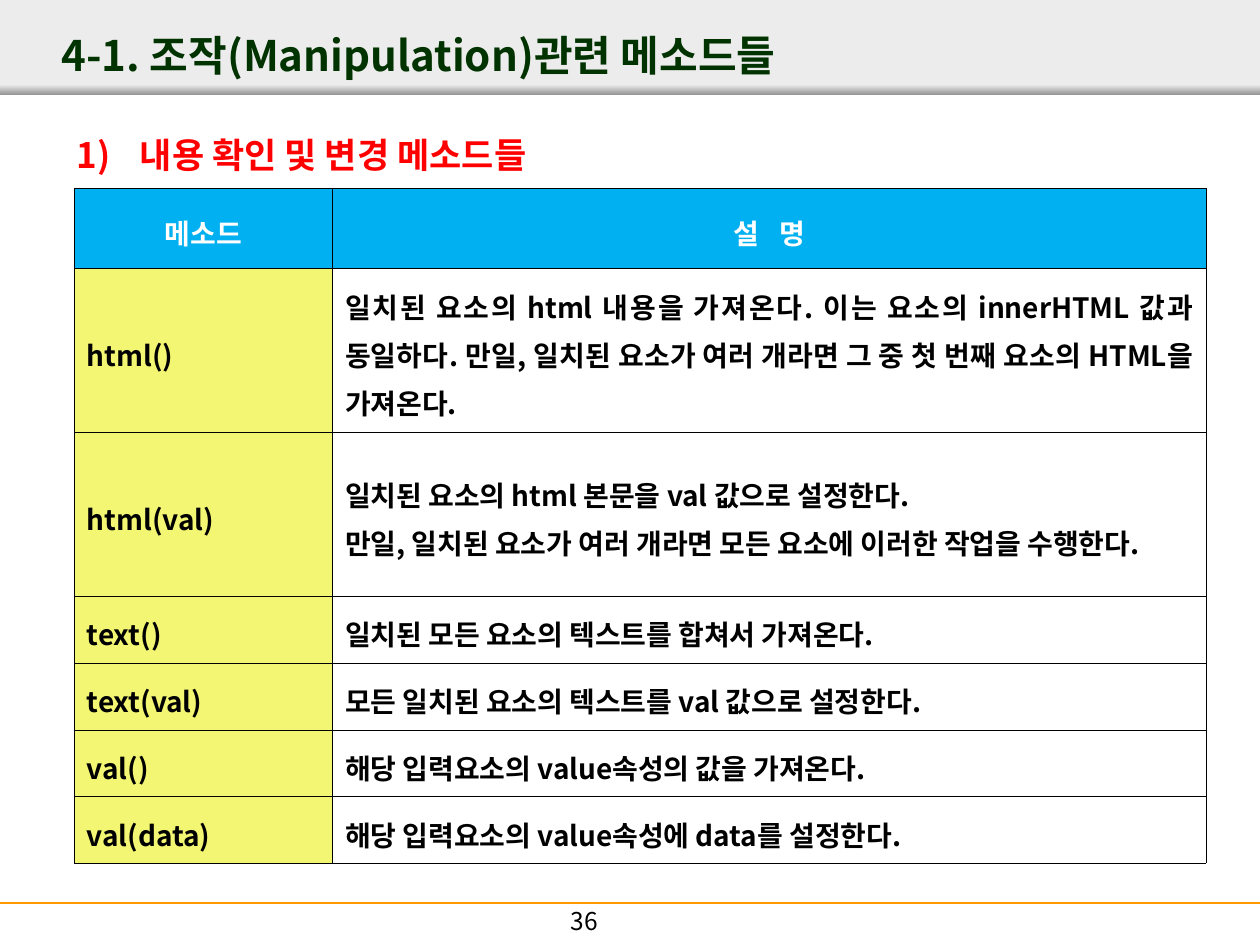
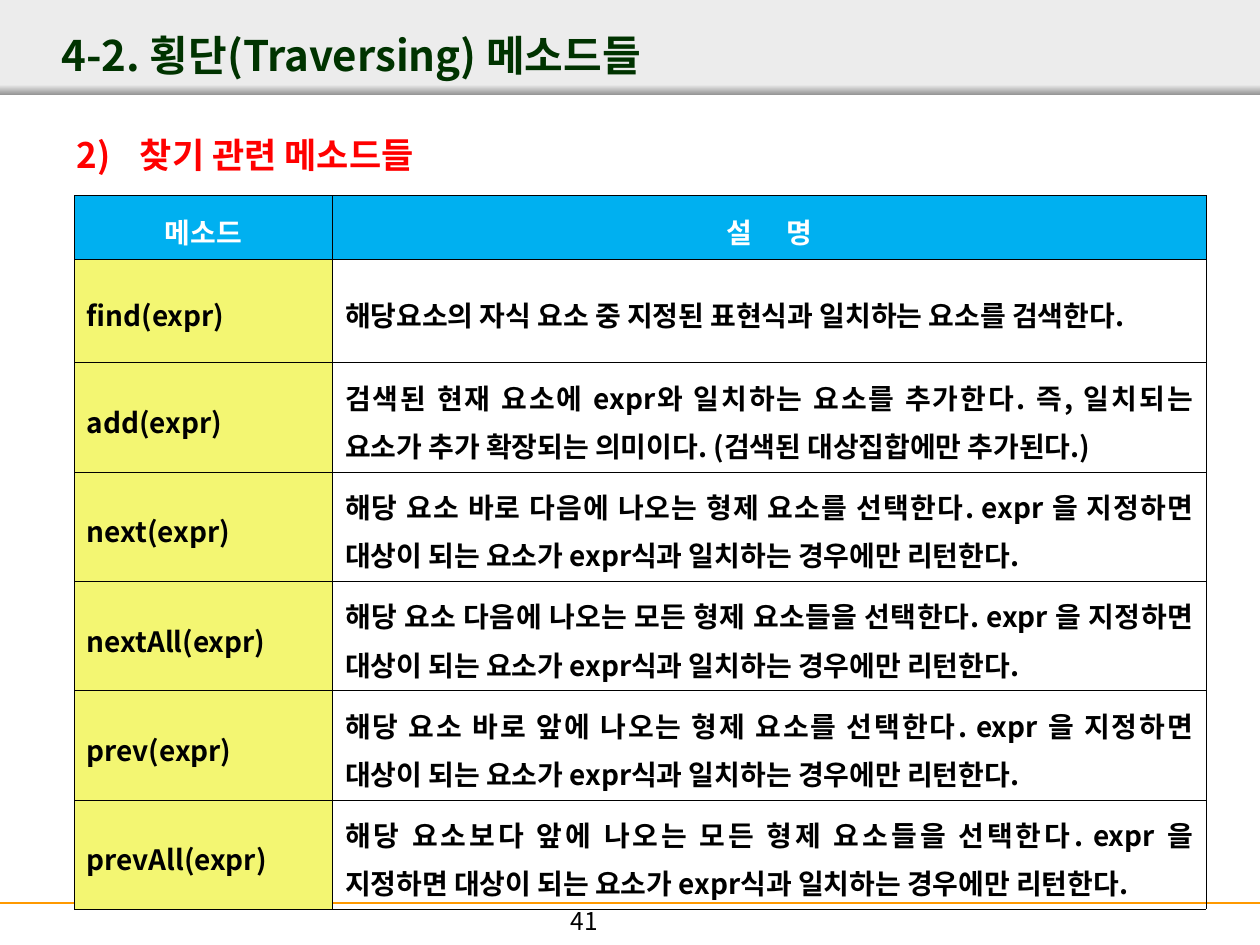
"""Build two slides of tables describing manipulation and traversing methods."""
from lxml import etree
from pptx import Presentation
from pptx.dml.color import RGBColor
from pptx.enum import shapes, text
from pptx.oxml import ns
from pptx.util import Pt

FONT = "Noto Sans CJK KR"
BLACK = RGBColor(0x00, 0x00, 0x00)
WHITE = RGBColor(0xFF, 0xFF, 0xFF)
RED = RGBColor(0xFF, 0x00, 0x00)
DARK_GREEN = RGBColor(0x00, 0x33, 0x00)
ORANGE = RGBColor(0xFF, 0x99, 0x00)
SKY = RGBColor(0x00, 0xB0, 0xF0)
YELLOW = RGBColor(0xF3, 0xF6, 0x72)
LIGHT_GRAY = RGBColor(0xEC, 0xEC, 0xEC)
MID_GRAY = RGBColor(0x97, 0x97, 0x97)
ALIGN = text.PP_ALIGN
MIDDLE = text.MSO_ANCHOR.MIDDLE

PAGES = [
    dict(
        title="4-1. 조작(Manipulation)관련 메소드들",
        section="내용 확인 및 변경 메소드들",
        number="36",
        top=107.7,
        heading_gap=8,
        row_heights=[45.6, 93.7, 93.7, 38.2, 38.2, 38.2, 38.2],
        methods=[
            ("html()", "일치된 요소의 html 내용을 가져온다. 이는 요소의 innerHTML 값과 동일하다. "
                       "만일, 일치된 요소가 여러 개라면 그 중 첫 번째 요소의 HTML을 가져온다."),
            ("html(val)", "일치된 요소의 html 본문을 val 값으로 설정한다.\n"
                          "만일, 일치된 요소가 여러 개라면 모든 요소에 이러한 작업을 수행한다."),
            ("text()", "일치된 모든 요소의 텍스트를 합쳐서 가져온다."),
            ("text(val)", "모든 일치된 요소의 텍스트를 val 값으로 설정한다."),
            ("val()", "해당 입력요소의 value속성의 값을 가져온다."),
            ("val(data)", "해당 입력요소의 value속성에 data를 설정한다."),
        ],
    ),
    dict(
        title="4-2. 횡단(Traversing) 메소드들",
        section="찾기 관련 메소드들",
        number="41",
        top=111.5,
        heading_gap=16,
        row_heights=[36.6] + [59] * 6,
        methods=[
            ("find(expr)", "해당요소의 자식 요소 중 지정된 표현식과 일치하는 요소를 검색한다."),
            ("add(expr)", "검색된 현재 요소에 expr와 일치하는 요소를 추가한다. 즉, 일치되는 "
                          "요소가 추가 확장되는 의미이다. (검색된 대상집합에만 추가된다.)"),
        ] + [
            (method, f"해당 {siblings} 선택한다. expr 을 지정하면 "
                     "대상이 되는 요소가 expr식과 일치하는 경우에만 리턴한다.")
            for method, siblings in [
                ("next(expr)", "요소 바로 다음에 나오는 형제 요소를"),
                ("nextAll(expr)", "요소 다음에 나오는 모든 형제 요소들을"),
                ("prev(expr)", "요소 바로 앞에 나오는 형제 요소를"),
                ("prevAll(expr)", "요소보다 앞에 나오는 모든 형제 요소들을"),
            ]
        ],
    ),
]


def add_run(paragraph, words, size, color, bold=True):
    run = paragraph.add_run()
    run.text = words
    run.font.size = Pt(size)
    run.font.bold = bold
    run.font.name = FONT
    run.font.color.rgb = color
    properties = run.font._element
    etree.SubElement(properties, ns.qn("a:ea"), typeface=FONT)
    return properties


def draw_borders(cell):
    properties = cell._tc.get_or_add_tcPr()
    for side in ("lnL", "lnR", "lnT", "lnB"):
        border = etree.SubElement(properties, ns.qn(f"a:{side}"), w=str(Pt(0.11)))
        fill = etree.SubElement(border, ns.qn("a:solidFill"))
        etree.SubElement(fill, ns.qn("a:srgbClr"), val=str(BLACK))


deck = Presentation()
deck.slide_width, deck.slide_height = Pt(720), Pt(540)
layout = deck.slide_layouts[1]
slides = [deck.slides.add_slide(layout) for _ in PAGES]

drawing = slides[0].shapes
title_band = drawing.add_shape(shapes.MSO_SHAPE.RECTANGLE, 0, 0, Pt(720), Pt(54))
title_band.fill.solid()
title_band.fill.fore_color.rgb = LIGHT_GRAY
band_edge = drawing.add_shape(shapes.MSO_SHAPE.RECTANGLE, 0, Pt(48.4), Pt(720), Pt(5.6))
band_edge.fill.gradient()
band_edge.fill.gradient_angle = 270
for stop, shade in zip(band_edge.fill.gradient_stops, (LIGHT_GRAY, MID_GRAY)):
    stop.color.rgb = shade
for band in (title_band, band_edge):
    band.shadow.inherit = False
    band.line.fill.background()
footer_rule = drawing.add_connector(shapes.MSO_CONNECTOR.STRAIGHT, 0, Pt(516), Pt(720), Pt(516))
footer_rule.line.color.rgb = ORANGE
footer_rule.line.width = Pt(1.5)
etree.SubElement(footer_rule.element.spPr, ns.qn("a:effectLst"))
for shared in (title_band, band_edge, footer_rule):
    layout.shapes.element.append(shared.element)

for order, (slide, page) in enumerate(zip(slides, PAGES), 1):
    title = slide.shapes.title
    title.left, title.top, title.width, title.height = Pt(28), Pt(11.5), Pt(604), Pt(39.6)
    title.text_frame.auto_size = text.MSO_AUTO_SIZE.NONE
    title.text_frame.vertical_anchor = MIDDLE
    heading = title.text_frame.paragraphs[0]
    heading.alignment = ALIGN.LEFT
    add_run(heading, page["title"], 24, DARK_GREEN)

    section = slide.placeholders[1]
    section.left, section.top, section.width, section.height = Pt(36.7), Pt(60.5), Pt(647), Pt(51)
    section.text_frame.auto_size = text.MSO_AUTO_SIZE.NONE
    item = section.text_frame.paragraphs[0]
    item.alignment = ALIGN.JUSTIFY
    item.line_spacing = 1.5
    item.space_before = Pt(0)
    numbering = item._p.get_or_add_pPr()
    numbering.set("marL", str(Pt(36)))
    numbering.set("indent", str(Pt(-36)))
    bullet_color = etree.SubElement(numbering, ns.qn("a:buClr"))
    etree.SubElement(bullet_color, ns.qn("a:srgbClr"), val=str(RED))
    etree.SubElement(numbering, ns.qn("a:buFont"), typeface=FONT)
    etree.SubElement(numbering, ns.qn("a:buAutoNum"), type="arabicParenR", startAt=str(order))
    add_run(item, page["section"], 20, RED)

    heights = page["row_heights"]
    methods = slide.shapes.add_table(
        len(heights), 2, Pt(42.5), Pt(page["top"]), Pt(646.5), Pt(sum(heights))).table
    methods.first_row = methods.horz_banding = False
    for column, width in zip(methods.columns, (147.5, 499)):
        column.width = Pt(width)
    for row, height in zip(methods.rows, heights):
        row.height = Pt(height)

    for r, entry in enumerate([("메소드", "설 명")] + page["methods"]):
        for c, words in enumerate(entry):
            cell = methods.cell(r, c)
            cell.vertical_anchor = MIDDLE
            draw_borders(cell)
            if r and c:
                cell.fill.background()
            else:
                cell.fill.solid()
                cell.fill.fore_color.rgb = YELLOW if r else SKY
            for n, line in enumerate(words.split("\n")):
                frame = cell.text_frame
                paragraph = frame.add_paragraph() if n else frame.paragraphs[0]
                paragraph.alignment = ALIGN.JUSTIFY if r else ALIGN.CENTER
                paragraph.line_spacing = 1.2
                if r or not c:
                    add_run(paragraph, line, 16, BLACK if r else WHITE)
                    continue
                for part in line:
                    properties = add_run(paragraph, part, 16, WHITE)
                    if part == " ":
                        properties.set("spc", str(page["heading_gap"] * 100))

    page_number = slide.shapes.add_textbox(Pt(250), Pt(514), Pt(168), Pt(26))
    page_number.text_frame.word_wrap = True
    number = page_number.text_frame.paragraphs[0]
    number.alignment = ALIGN.CENTER
    add_run(number, page["number"], 14, BLACK, bold=False)

deck.save("out.pptx")
